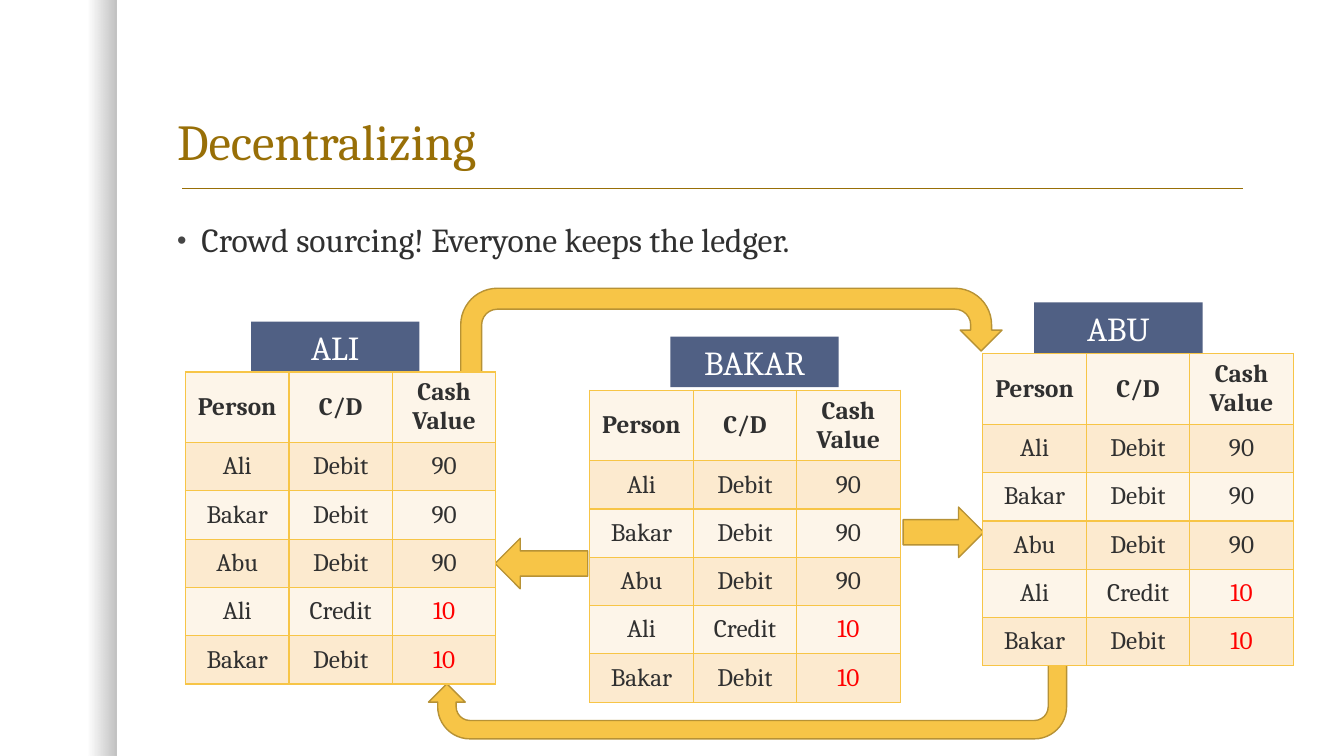
from lxml import etree
from pptx import Presentation, util as u
from pptx.dml.color import RGBColor
from pptx.enum import shapes as s, text as t
from pptx.oxml.ns import qn

deck = Presentation()
deck.slide_width, deck.slide_height = u.Inches(13.333), u.Inches(7.5)
slide = deck.slides.add_slide(deck.slide_layouts[6])
parts = slide.shapes
KIND = s.MSO_SHAPE
GOLD, INK, RED = "F7C547", "303030", "FF0000"


def area(*shares):
    """Turn left, top, width, height in percent of the slide into lengths."""
    sides = (deck.slide_width, deck.slide_height) * 2
    return [round(side * share / 100) for side, share in zip(sides, shares)]


def style(item, hue, size=None, bold=False):
    """Colour a fill or line, or set the font of a paragraph's runs."""
    rgb = RGBColor.from_string(hue)
    if size is None:
        item.solid()
        item.fore_color.rgb = rgb
        return
    for run in item.runs:
        font = run.font
        font.name, font.size, font.bold = "Cambria", u.Pt(size), bold
        font.color.rgb = rgb


# Shaded left edge and title rule
edge = parts.add_shape(KIND.RECTANGLE, *area(0, 0, 8.7, 100))
edge.shadow.inherit = False
edge.line.fill.background()
edge.fill.gradient()
edge.fill.gradient_angle = 0
for stop, place in zip(edge.fill.gradient_stops, (0.75, 1)):
    stop.color.rgb = RGBColor.from_string("000000")
    stop.position = place
tints = edge._element.spPr.iter(qn("a:srgbClr"))
for tint, alpha in zip(list(tints), (0, 25000)):
    etree.SubElement(tint, qn("a:alpha"), val=str(alpha))

rule = parts.add_connector(s.MSO_CONNECTOR.STRAIGHT,
                           *area(13.57, 24.93, 92.48, 24.93))
style(rule.line.fill, "986F07")
rule.line.width = u.Pt(1)
etree.SubElement(rule._element.spPr, qn("a:effectLst"))

# Title and bullet
for words, box, size, hue, anchor in (
    ("Decentralizing", (12.45, 5.6, 80.63, 17.73), 36, "986F07",
     t.MSO_ANCHOR.BOTTOM),
    ("Crowd sourcing! Everyone keeps the ledger.",
     (12.45, 28.93, 62.03, 50), 24, INK, t.MSO_ANCHOR.TOP),
):
    frame = parts.add_textbox(*area(*box)).text_frame
    frame.word_wrap = True
    frame.vertical_anchor = anchor
    frame.text = words
    para = frame.paragraphs[0]
    para.line_spacing = 0.9
    style(para, hue, size)

para.space_before = u.Pt(18)
props = para._p.get_or_add_pPr()
props.set("marL", str(u.Inches(0.24)))
props.set("indent", str(-u.Inches(0.24)))
shade = etree.SubElement(props, qn("a:buClr"))
etree.SubElement(shade, qn("a:srgbClr"), val="454545")
etree.SubElement(props, qn("a:buSzPct"), val="80000")
etree.SubElement(props, qn("a:buFont"), typeface="Arial")
etree.SubElement(props, qn("a:buChar"), char="•")

# Arrows that pass the ledger around
for kind, box, turn in (
    (KIND.RIGHT_ARROW, (67.2, 67.07, 6, 6.67), 0),
    (KIND.U_TURN_ARROW, (31.88, 88, 47.48, 9.73), 180),
    (KIND.LEFT_ARROW, (36.83, 71.2, 6.9, 6.67), 0),
    (KIND.U_TURN_ARROW, (34.28, 38.13, 40.28, 11.07), 0),
):
    arrow = parts.add_shape(kind, *area(*box))
    arrow.shadow.inherit = False
    arrow.rotation = turn
    style(arrow.fill, GOLD)
    style(arrow.line.fill, "B79235")
    arrow.line.width = u.Pt(1)

# Each person's name above the same ledger
ledger = (
    ("Person", "C/D", "Cash Value"),
    ("Ali", "Debit", "90"),
    ("Bakar", "Debit", "90"),
    ("Abu", "Debit", "90"),
    ("Ali", "Credit", "10"),
    ("Bakar", "Debit", "10"),
)
for name, tag, spot in (
    ("BAKAR", (49.88, 44.53), (43.88, 51.6)),
    ("ABU", (76.95, 40), (73.13, 46.8)),
    ("ALI", (18.68, 42.53), (13.8, 49.2)),
):
    label = parts.add_shape(KIND.RECTANGLE, *area(*tag, 12.53, 6.67))
    label.shadow.inherit = False
    style(label.fill, "506084")
    label.line.fill.background()
    label.text_frame.text = name
    para = label.text_frame.paragraphs[0]
    para.alignment = t.PP_ALIGN.CENTER
    style(para, "FFFFFF", 24)

    table = parts.add_table(len(ledger), 3, *area(*spot, 23.1, 41.02)).table
    for r, row in enumerate(ledger):
        table.rows[r].height = area(0, 6.39 if r else 9.07)[1]
        for c, value in enumerate(row):
            cell = table.cell(r, c)
            cell.text = value
            cell.vertical_anchor = t.MSO_ANCHOR.MIDDLE
            para = cell.text_frame.paragraphs[0]
            para.alignment = t.PP_ALIGN.CENTER
            style(para, RED if value == "10" else INK, 18, r == 0)
            props = cell._tc.get_or_add_tcPr()
            for side in "LRTB":
                line = etree.SubElement(props, qn("a:ln" + side), w="12700")
                fill = etree.SubElement(line, qn("a:solidFill"))
                etree.SubElement(fill, qn("a:srgbClr"), val=GOLD)
            style(cell.fill, "FCEACF" if r % 2 else "FDF5E9")

deck.save("out.pptx")
